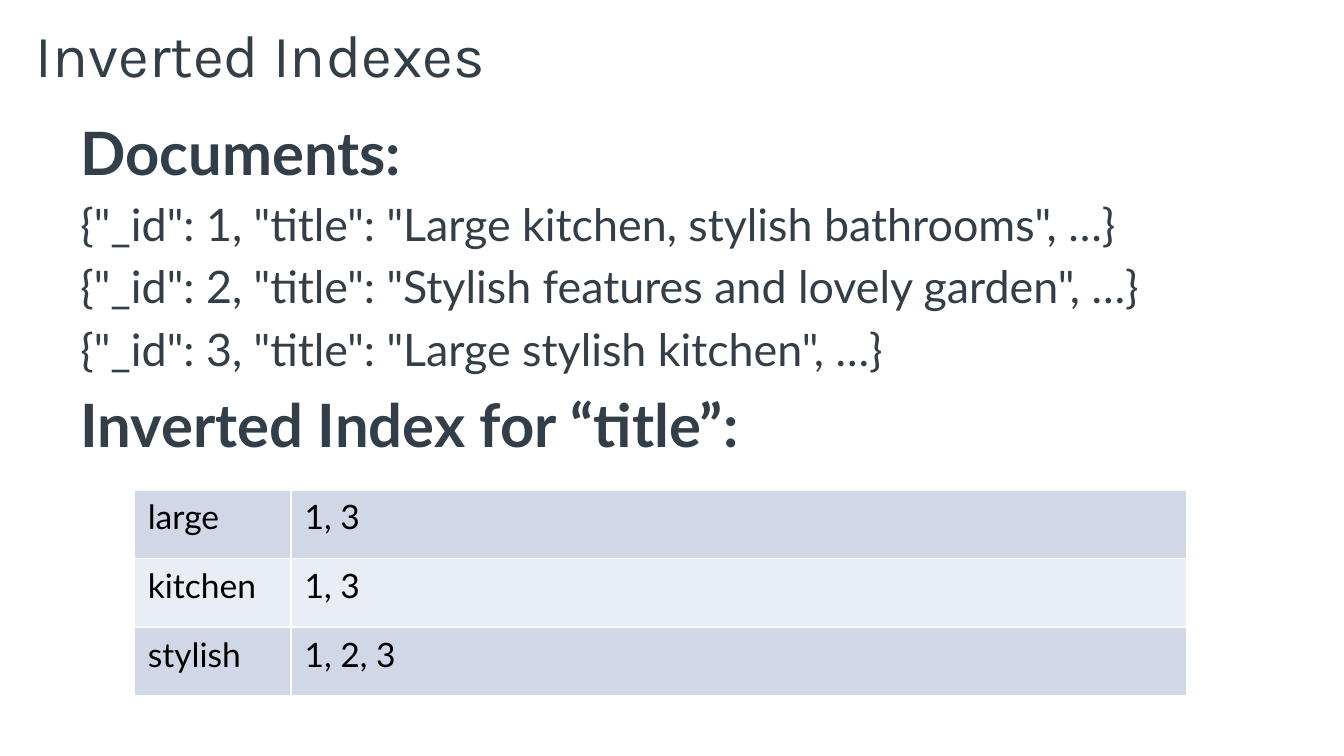
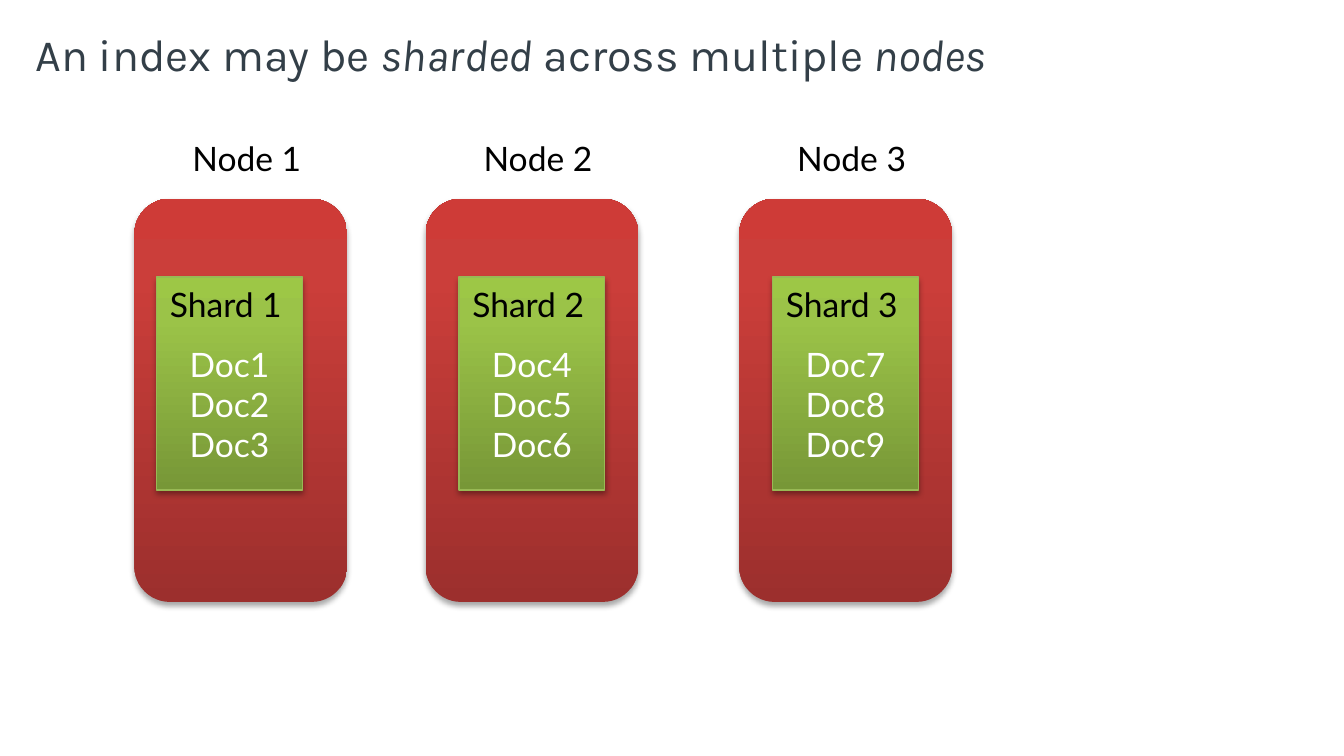
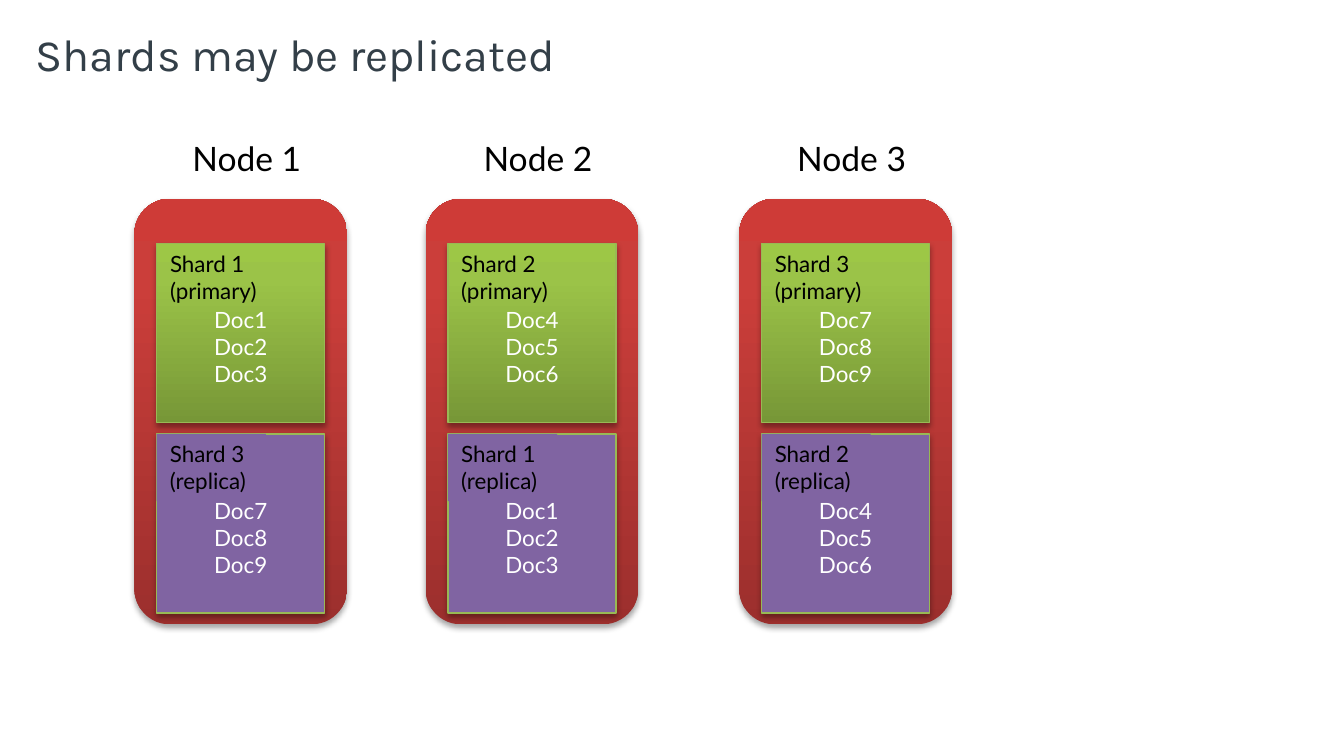
from lxml.etree import SubElement
from pptx import Presentation
from pptx.dml.color import RGBColor
from pptx.enum.shapes import MSO_SHAPE as SHAPE
from pptx.enum.text import MSO_ANCHOR as ANCHOR, MSO_AUTO_SIZE as AUTO, PP_ALIGN as ALIGN
from pptx.oxml.ns import qn
from pptx.util import Pt

PX = 9525  # EMU in one px, 96 px to the inch

# Shared style
TITLE_FONT, BODY_FONT = "Karla", "Lato"
INK, BLACK, WHITE = "333F48", "000000", "FFFFFF"
RED = [(0, "9C2F2D"), (80, "CB3E3A"), (100, "CE3B37")]
GREEN = [(0, "779737"), (80, "9BC348"), (100, "9DC746")]
PURPLE, SHARD_LINE = "8064A2", "98B955"
BANDS = ["D0D8E8", "E9EDF4"]

# Node columns
NODE_X = [96, 304, 528]
NODE_Y, NODE_W = 142, 152


def rgb(hex_color):
    return RGBColor.from_string(hex_color)


def px(*lengths):
    return [n * PX for n in lengths]


class Deck:
    def __init__(self):
        self.prs = Presentation()
        self.prs.slide_width, self.prs.slide_height = px(960, 540)
        self.s = None

    def slide(self, title, size):
        """Start a slide; parts of the title between asterisks are italic."""
        self.s = self.prs.slides.add_slide(self.prs.slide_layouts[6])
        tf = self.s.shapes.add_textbox(*px(16, 6, 816, 64)).text_frame
        tf.word_wrap = True
        tf.vertical_anchor = ANCHOR.MIDDLE
        p = tf.paragraphs[0]
        for i, part in enumerate(title.split("*")):
            r = p.add_run()
            r.text = part
            r.font.italic = i % 2 == 1
            self.style(r, size, INK, TITLE_FONT)

    def style(self, r, size, color, font=BODY_FONT, bold=False):
        r.font.name, r.font.size, r.font.bold = font, Pt(size), bold
        r.font.color.rgb = rgb(color)

    def fill_text(self, tf, lines, size, color, align=ALIGN.LEFT):
        tf.text = "\n".join(lines)
        for p in tf.paragraphs:
            p.alignment = align
            for r in p.runs:
                self.style(r, size, color)

    def body(self, box, lines):
        """Each line is (text, size, bold)."""
        tf = self.s.shapes.add_textbox(*px(*box)).text_frame
        tf.word_wrap = True
        tf.text = "\n".join(text for text, _, _ in lines)
        for p, (_, size, bold) in zip(tf.paragraphs, lines):
            p.space_before = Pt(size * 0.2)
            self.style(p.runs[0], size, INK, bold=bold)

    def label(self, box, lines, size, fill=None, parent=None):
        sp = (parent or self.s).shapes.add_textbox(*px(*box))
        if fill:
            sp.fill.solid()
            sp.fill.fore_color.rgb = rgb(fill)
        tf = sp.text_frame
        tf.word_wrap = False
        tf.auto_size = AUTO.SHAPE_TO_FIT_TEXT
        self.fill_text(tf, lines, size, BLACK)

    def panel(self, kind, box, fill, line=None, parent=None):
        """Shadowed shape; fill is a colour or a list of gradient stops."""
        sp = (parent or self.s).shapes.add_shape(kind, *px(*box))
        if isinstance(fill, str):
            sp.fill.solid()
            sp.fill.fore_color.rgb = rgb(fill)
        else:
            sp.fill.gradient()
            sp.fill.gradient_angle = 90
            stops = sp._element.spPr.find(".//" + qn("a:gsLst"))
            stops.clear()
            for pos, color in fill:
                gs = SubElement(stops, qn("a:gs"), pos=str(pos * 1000))
                SubElement(gs, qn("a:srgbClr"), val=color)
        if line:
            sp.line.color.rgb = rgb(line)
            sp.line.width = Pt(0.75)
        else:
            sp.line.fill.background()
        self.shadow(sp)
        return sp

    def shadow(self, sp):
        sp.shadow.inherit = False
        effects = sp._element.spPr.find(qn("a:effectLst"))
        outer = SubElement(effects, qn("a:outerShdw"), blurRad=str(Pt(3.1)),
                           dist=str(Pt(1.8)), dir="5400000", rotWithShape="0")
        color = SubElement(outer, qn("a:srgbClr"), val=BLACK)
        SubElement(color, qn("a:alpha"), val="35000")

    def nodes(self, height):
        for x in NODE_X:
            self.panel(SHAPE.ROUNDED_RECTANGLE, (x, NODE_Y, NODE_W, height), RED)
        for n, x in enumerate(NODE_X, 1):
            self.label((x + 32, 94, 98, 38), [f"Node {n}"], 18)

    def shard(self, n, box, size, fill, label_size, role=None, label_fill=None):
        """Box with the three documents of shard n, named in its top left corner."""
        group = self.s.shapes.add_group_shape()
        tf = self.panel(SHAPE.RECTANGLE, box, fill, SHARD_LINE, group).text_frame
        tf.vertical_anchor = ANCHOR.MIDDLE
        tf.margin_top = int((5 + size * 1.6) * PX)  # one line kept free for the name
        docs = [f"Doc{d}" for d in range(3 * n - 2, 3 * n + 1)]
        self.fill_text(tf, docs, size, WHITE, ALIGN.CENTER)
        name = [f"Shard {n}"] + ([f"({role})"] if role else [])
        self.label((*box[:2], *label_size), name, size, label_fill, group)

    def table(self, x, y, col_widths, row_height, rows):
        box = px(x, y, sum(col_widths), row_height * len(rows))
        t = self.s.shapes.add_table(len(rows), len(col_widths), *box).table
        t.first_row = t.horz_banding = False
        for col, width in zip(t.columns, px(*col_widths)):
            col.width = width
        for i, row in enumerate(rows):
            t.rows[i].height = row_height * PX
            for j, text in enumerate(row):
                cell = t.cell(i, j)
                self.fill_text(cell.text_frame, [text], 18, BLACK)
                self.borders(cell)
                cell.fill.solid()
                cell.fill.fore_color.rgb = rgb(BANDS[i % 2])

    def borders(self, cell):
        tc_pr = cell._tc.get_or_add_tcPr()
        for side in "LRTB":
            ln = SubElement(tc_pr, qn(f"a:ln{side}"), w=str(Pt(1)))
            SubElement(SubElement(ln, qn("a:solidFill")), qn("a:srgbClr"), val=WHITE)


def main():
    deck = Deck()

    # Slide 1: documents and their index
    deck.slide("Inverted Indexes", 32)
    deck.body((48, 78, 864, 404), [
        ("Documents:", 32, True),
        ('{"_id": 1, "title": "Large kitchen, stylish bathrooms", …}', 24, False),
        ('{"_id": 2, "title": "Stylish features and lovely garden", …}', 24, False),
        ('{"_id": 3, "title": "Large stylish kitchen", …}', 24, False),
        ("Inverted Index for “title”:", 32, True),
    ])
    deck.table(96, 350, [112, 640], 49,
               [("large", "1, 3"), ("kitchen", "1, 3"), ("stylish", "1, 2, 3")])

    # Slide 2: one shard on each node
    deck.slide("An index may be *sharded* across multiple *nodes*", 24)
    deck.nodes(288)
    for n, (x, inset) in enumerate(zip(NODE_X, [16, 24, 24]), 1):
        deck.shard(n, (x + inset, 198, 104, 152), 18, GREEN, (105, 38))

    # Slide 3: each node also holds a replica of the previous node's shard
    deck.slide("Shards may be replicated", 24)
    deck.nodes(304)
    for n, x in enumerate(NODE_X, 1):
        deck.shard(n, (x + 16, 174, 120, 128), 12, GREEN, (84, 48), "primary")
    for n, x in enumerate(NODE_X, 1):
        deck.shard((n - 2) % 3 + 1, (x + 16, 310, 120, 128), 12, PURPLE, (78, 48),
                   "replica", PURPLE)

    deck.prs.save("out.pptx")


if __name__ == "__main__":
    main()
